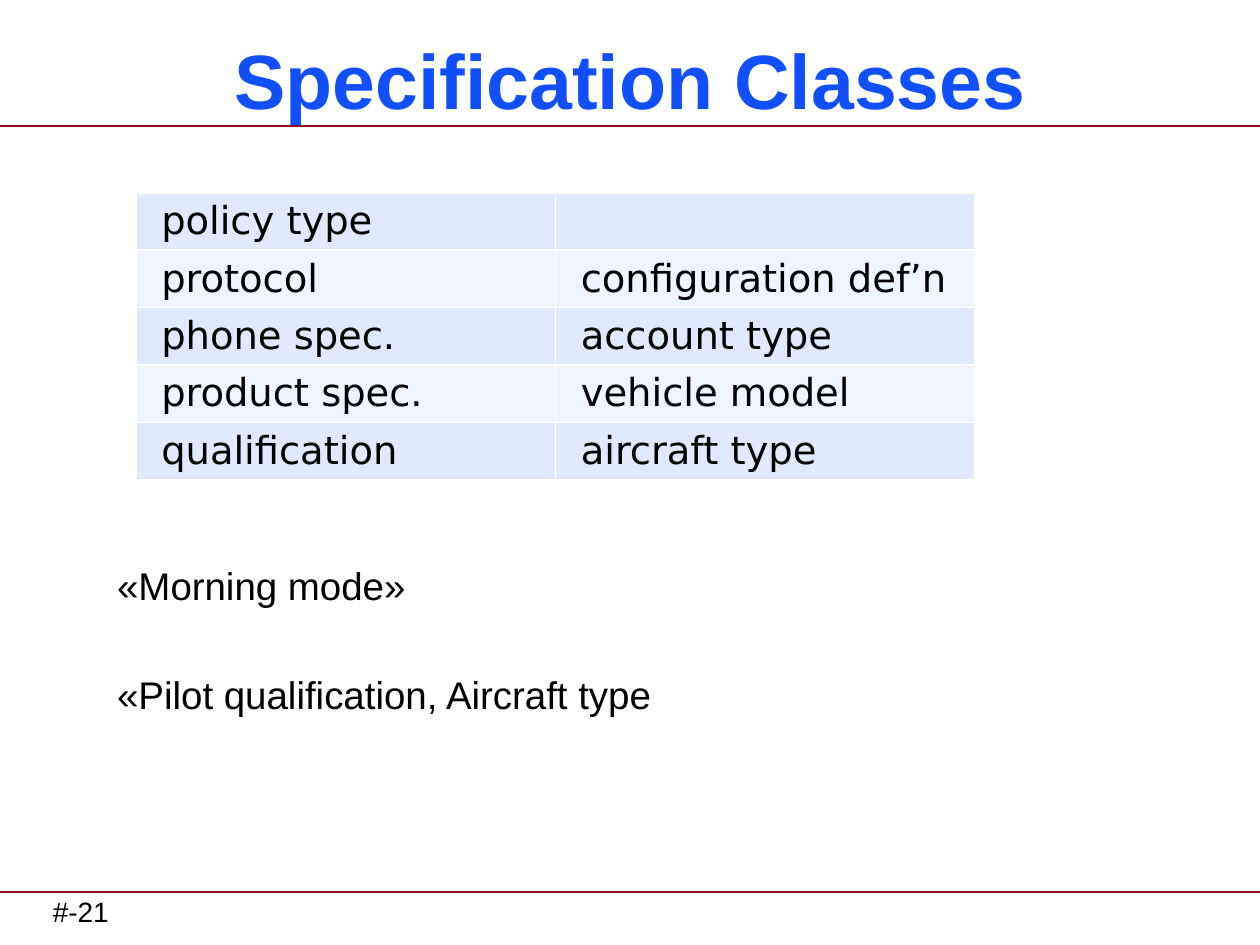
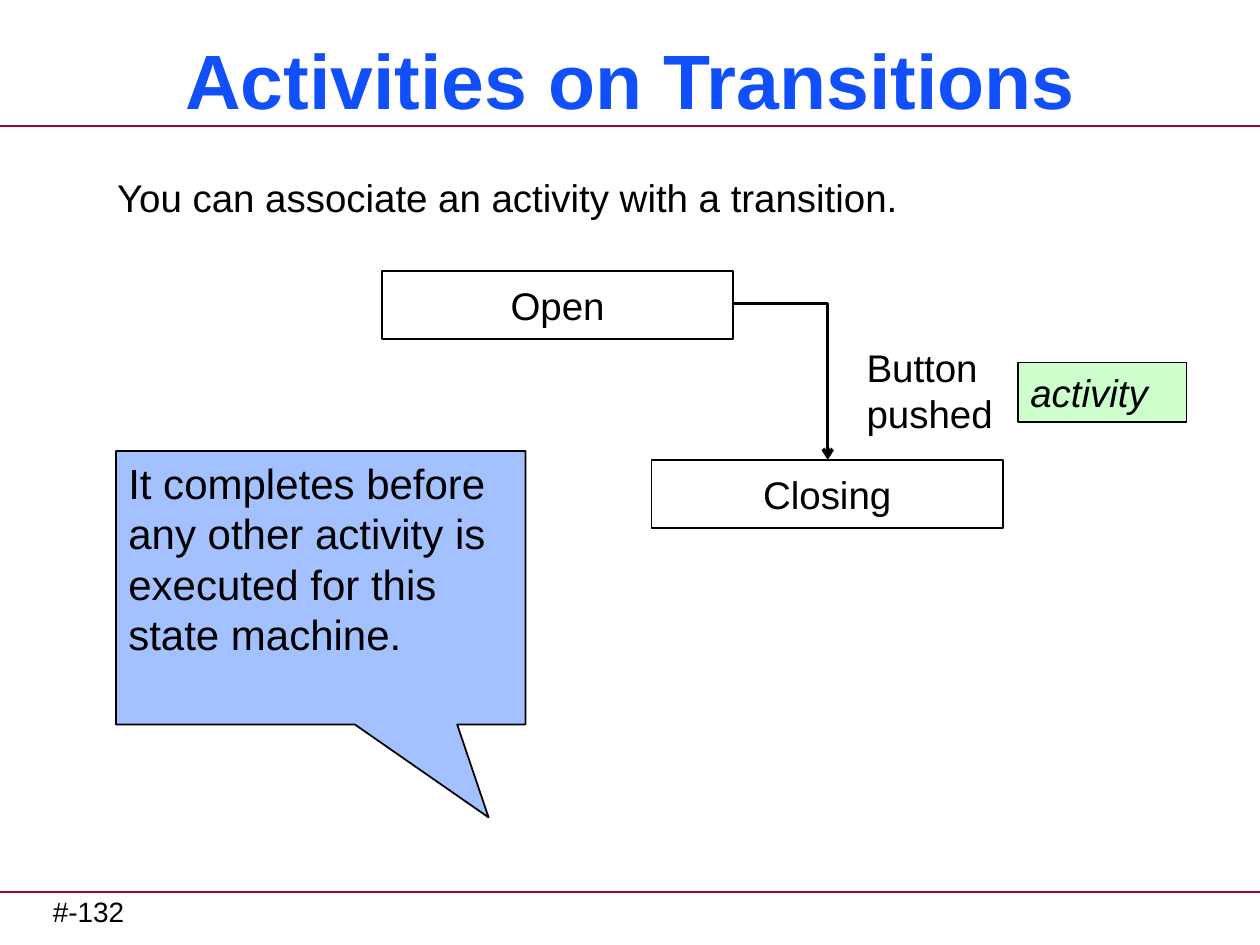
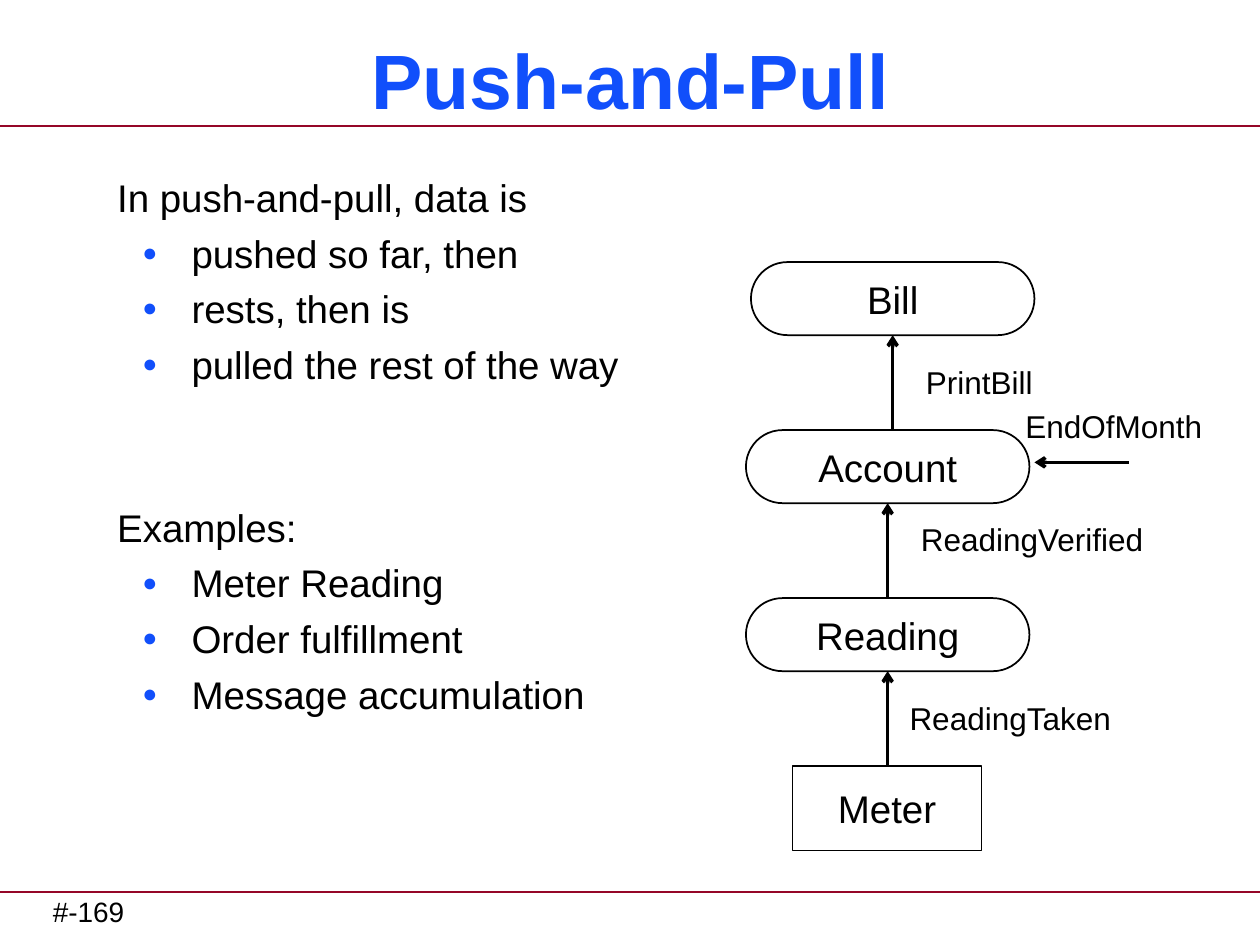
import pptx
import pptx.util
import pptx.dml.color
import pptx.enum.shapes
import pptx.enum.text
import pptx.oxml.ns
from lxml import etree
from pptx.util import Inches

SHAPE = pptx.enum.shapes.MSO_SHAPE
LINK = pptx.enum.shapes.MSO_CONNECTOR
ALIGN = pptx.enum.text.PP_ALIGN
ANCHOR = pptx.enum.text.MSO_ANCHOR
FIT = pptx.enum.text.MSO_AUTO_SIZE
qn = pptx.oxml.ns.qn

BLUE, RED, BLACK, WHITE = "114FFB", "950728", "000000", "FFFFFF"
BANDS = ("E0E9FF", "F0F4FF")
TIGHT, WIDE, BREAK = 5.4, 36, 66.7  # space before, in points


def color(hexa):
    return pptx.dml.color.RGBColor.from_string(hexa)


def add(parent, tag, **attrs):
    return etree.SubElement(parent, qn(tag), attrs)


class Deck:
    def __init__(self):
        self.prs = pptx.Presentation()
        self.prs.slide_width = Inches(10)
        self.prs.slide_height = Inches(7.5)
        self.slide = None

    def start(self, title, number):
        """Add a slide with its title, two rules and page number."""
        self.slide = self.prs.slides.add_slide(self.prs.slide_layouts[1])
        for y in (1, 7.08):
            self.line((0, y), (10, y), RED, 1.5, arrow=False)
        foot = self.label(number, (0.42, 7.05, 4.83, 0.37), 16)
        foot.text_frame.margin_left = foot.text_frame.margin_right = 0
        head = self.slide.shapes.title
        self.place(head, (0.17, 0.25, 9.67, 0.75))
        self.frame(head, ANCHOR.MIDDLE)
        para = head.text_frame.paragraphs[0]
        para.alignment = ALIGN.CENTER
        self.run(para, title, 44, BLUE, bold=True)

    def place(self, shape, box):
        shape.left, shape.top, shape.width, shape.height = map(Inches, box)

    def frame(self, shape, anchor=ANCHOR.TOP):
        text = shape.text_frame
        text.word_wrap = True
        text.auto_size = FIT.NONE
        text.vertical_anchor = anchor
        return text

    def run(self, para, text, size=22, tint=BLACK, bold=False,
            italic=False, face="Arial"):
        for i, part in enumerate(text.split("\n")):
            if i:
                para.add_line_break()
            run = para.add_run()
            run.text = part
            font = run.font
            font.name, font.size = face, pptx.util.Pt(size)
            font.bold, font.italic = bold, italic
            font.color.rgb = color(tint)

    def body(self, box, items, inset=0.05):
        """Fill the body with (text, level, space before) items."""
        shape = self.slide.placeholders[1]
        self.place(shape, box)
        text = self.frame(shape)
        text.margin_top = Inches(inset)
        for i, (words, level, gap) in enumerate(items):
            para = text.add_paragraph() if i else text.paragraphs[0]
            para.level = level
            para.space_before = pptx.util.Pt(gap if i else 0)
            self.bullet(para, level)
            self.run(para, words)

    def bullet(self, para, level):
        props = para._p.get_or_add_pPr()
        props.set("marL", str(Inches(0.59 * level)))
        props.set("indent", str(Inches(-0.39 * level)))
        if not level:
            add(props, "a:buNone")
            return
        add(add(props, "a:buClr"), "a:srgbClr", val=BLUE)
        add(props, "a:buSzPct", val="65000")
        add(props, "a:buFont", typeface="Arial")
        add(props, "a:buChar", char="●")

    def label(self, text, box, size=18):
        shape = self.slide.shapes.add_textbox(*map(Inches, box))
        self.run(self.frame(shape).paragraphs[0], text, size)
        return shape

    def box(self, text, box, kind=SHAPE.RECTANGLE, adj=(), fill=None,
            width=1, size=22, italic=False, center=True):
        shape = self.slide.shapes.add_shape(kind, *map(Inches, box))
        shape.shadow.inherit = False
        for i, value in enumerate(adj):
            shape.adjustments[i] = value
        if fill:
            shape.fill.solid()
            shape.fill.fore_color.rgb = color(fill)
        else:
            shape.fill.background()
        shape.line.color.rgb = color(BLACK)
        shape.line.width = pptx.util.Pt(width)
        words = self.frame(shape, ANCHOR.MIDDLE if center else ANCHOR.TOP)
        para = words.paragraphs[0]
        para.alignment = ALIGN.CENTER if center else ALIGN.LEFT
        self.run(para, text, size, italic=italic)

    def line(self, start, end, tint=BLACK, width=2, arrow=True, bent=False):
        kind = LINK.ELBOW if bent else LINK.STRAIGHT
        link = self.slide.shapes.add_connector(
            kind, *map(Inches, (*start, *end)))
        link.line.color.rgb = color(tint)
        link.line.width = pptx.util.Pt(width)
        props = link.element.spPr
        if bent:  # a single corner
            props.find(qn("a:prstGeom")).set("prst", "bentConnector2")
        if arrow:
            add(props.find(qn("a:ln")), "a:tailEnd", type="arrow")
        add(props, "a:effectLst")

    def table(self, rows, left, top, width, height):
        """Add a banded table; width and height are of one cell."""
        count = len(rows[0])
        grid = self.slide.shapes.add_table(
            len(rows), count, Inches(left), Inches(top),
            Inches(width * count), Inches(height * len(rows))).table
        grid.first_row = False
        for r, row in enumerate(rows):
            for c, words in enumerate(row):
                cell = grid.cell(r, c)
                cell.fill.solid()
                cell.fill.fore_color.rgb = color(BANDS[r % 2])
                cell.margin_left = Inches(0.2)
                if words:
                    self.run(cell.text_frame.paragraphs[0], words,
                             face="DejaVu Sans")
                self.border(cell)

    def border(self, cell):
        props = cell._tc.get_or_add_tcPr()
        for i, side in enumerate("LRTB"):
            edge = etree.Element(qn("a:ln" + side), w=str(pptx.util.Pt(1)))
            add(add(edge, "a:solidFill"), "a:srgbClr", val=WHITE)
            props.insert(i, edge)


def classes(deck):
    deck.start("Specification Classes", "#-21")
    deck.body((0.83, 1.42, 8.83, 5.58), [
        ("«Morning mode»", 0, 0),
        ("«Pilot qualification, Aircraft type", 0, WIDE),
    ], inset=3.04)
    deck.table([
        ("policy type", ""),
        ("protocol", "configuration def’n"),
        ("phone spec.", "account type"),
        ("product spec.", "vehicle model"),
        ("qualification", "aircraft type"),
    ], 1.08, 1.53, 3.33, 0.41)


def moves(deck):
    deck.start("Activities on Transitions", "#-132")
    deck.body((0.83, 1.33, 8.42, 5.58), [
        ("You can associate an activity with a transition.", 0, 0)])

    # States and the transition between them
    deck.box("Open", (3.03, 2.15, 2.79, 0.54))
    deck.box("Closing", (5.17, 3.65, 2.79, 0.54))
    deck.line((5.81, 2.41), (6.57, 3.65), bent=True)
    deck.label("Button pushed", (6.78, 2.68, 1.66, 0.84), 22)
    deck.box("activity", (8.08, 2.88, 1.34, 0.47), fill="CCFFCC",
             width=0.75, italic=True, center=False)

    # Callout
    deck.box("It completes before\nany other activity is executed for this"
             "\nstate machine.", (0.92, 3.58, 3.25, 2.17),
             SHAPE.RECTANGULAR_CALLOUT, (0.41, 0.84), "A2C1FE",
             size=24, center=False)


def pushpull(deck):
    deck.start("Push-and-Pull", "#-169")
    deck.body((0.83, 1.33, 8.83, 5.58), [
        ("In push-and-pull, data is", 0, 0),
        ("pushed so far, then", 1, TIGHT),
        ("rests, then is", 1, TIGHT),
        ("pulled the rest of the way", 1, TIGHT),
        ("Examples:", 0, BREAK),
        ("Meter Reading", 1, TIGHT),
        ("Order fulfillment", 1, TIGHT),
        ("Message accumulation", 1, TIGHT),
    ])

    # Chain of states, each fed by the one below
    top, step, width, height = 2.08, 4 / 3, 2.25, 0.58
    chain = [
        ("Bill", 5.96, "PrintBill", (7.25, 2.83, 1.65, 0.4)),
        ("Account", 5.92, "ReadingVerified", (7.21, 4.08, 2.08, 0.4)),
        ("Reading", 5.92, "ReadingTaken", (7.12, 5.5, 2.08, 0.4)),
    ]
    for i, (name, left, event, spot) in enumerate(chain):
        y = top + i * step
        deck.box(name, (left, y, width, height),
                 SHAPE.ROUNDED_RECTANGLE, (0.5,))
        mid = left + width / 2
        deck.line((mid, y + step), (mid, y + height))
        deck.label(event, spot)
    deck.box("Meter", (6.29, top + 3 * step, 1.5, 0.67))

    # Outside trigger
    deck.line((8.96, 3.67), (8.21, 3.67))
    deck.label("EndOfMonth", (8.04, 3.18, 1.65, 0.4))


def main():
    deck = Deck()
    for build in (classes, moves, pushpull):
        build(deck)
    deck.prs.save("out.pptx")


if __name__ == "__main__":
    main()
